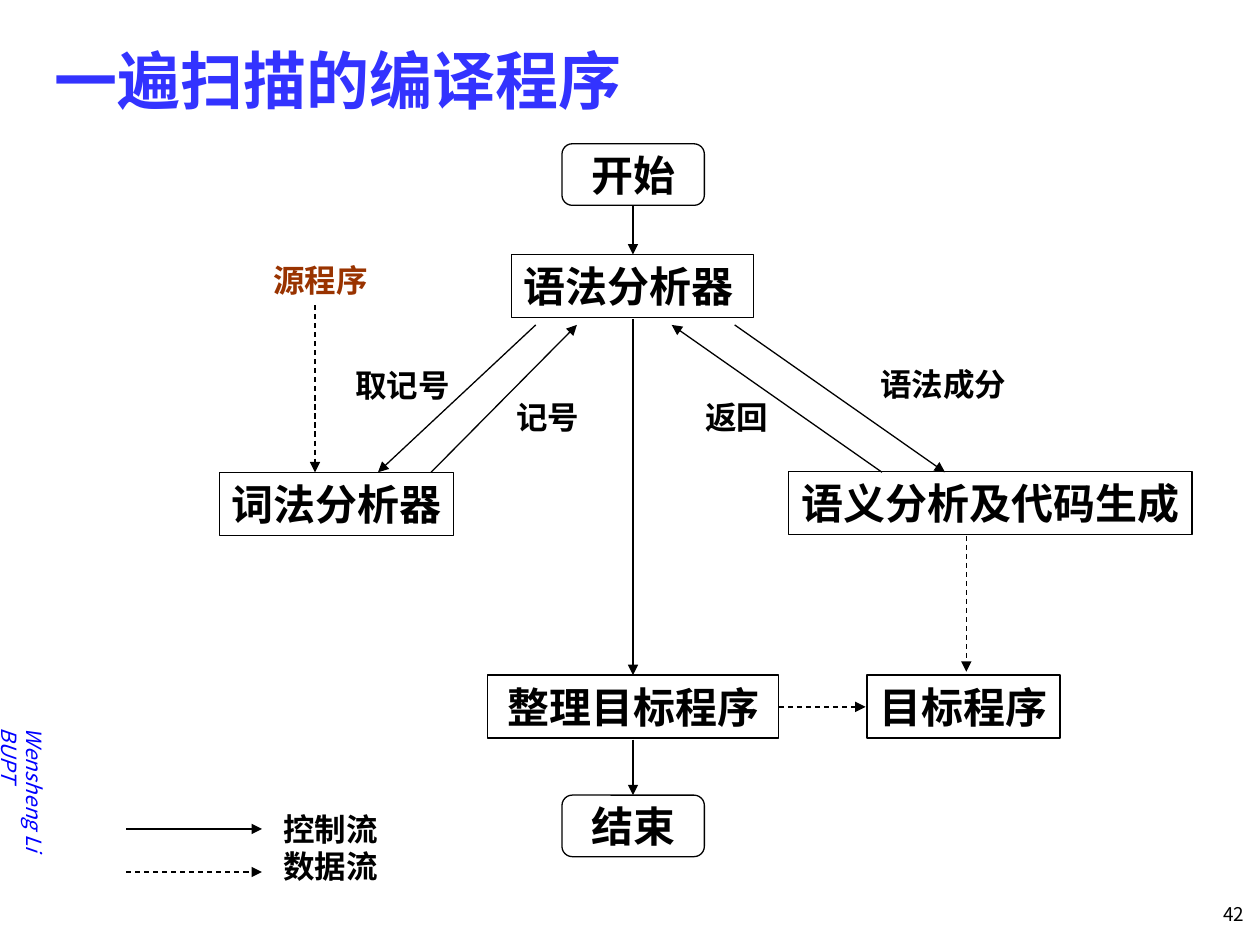
from dataclasses import dataclass

from lxml import etree
from pptx import Presentation
from pptx.dml.color import RGBColor
from pptx.enum.dml import MSO_LINE
from pptx.enum.shapes import MSO_CONNECTOR, MSO_SHAPE
from pptx.enum.text import MSO_ANCHOR, PP_ALIGN
from pptx.oxml.ns import qn
from pptx.util import Cm, Pt

LEFT, CENTER, RIGHT = PP_ALIGN.LEFT, PP_ALIGN.CENTER, PP_ALIGN.RIGHT
TOP, MIDDLE = MSO_ANCHOR.TOP, MSO_ANCHOR.MIDDLE
RECT, ROUND = MSO_SHAPE.RECTANGLE, MSO_SHAPE.FLOWCHART_ALTERNATE_PROCESS
STRAIGHT, DASH = MSO_CONNECTOR.STRAIGHT, MSO_LINE.DASH


@dataclass(frozen=True)
class Theme:
    ink: str = "000000"
    head: str = "3333FF"
    side: str = "0000FF"
    input: str = "993300"
    serif: str = "Times New Roman"
    sans: str = "Noto Sans CJK SC"
    title: float = 36
    node: float = 24
    label: float = 18
    name: float = 12
    page: float = 10.8
    line: float = 0.75


def write(frame, text, *, size, color, font, bold=True, slant=False,
          align=LEFT, anchor=MIDDLE, wrap=False, space=None, tab=None):
    frame.word_wrap = wrap
    frame.vertical_anchor = anchor
    frame.margin_left = frame.margin_right = Cm(0.25)
    frame.margin_top = frame.margin_bottom = Cm(0.13)
    for i, part in enumerate(text.split("\n")):
        para = frame.add_paragraph() if i else frame.paragraphs[0]
        para.alignment = align
        if space:
            para.line_spacing = space
        if tab:
            stops = etree.SubElement(para._p.get_or_add_pPr(), qn("a:tabLst"))
            etree.SubElement(stops, qn("a:tab"), pos=str(tab), algn="l")
        run = para.add_run()
        run.text = part
        run.font.name = font
        run.font.size = Pt(size)
        run.font.bold = bold
        run.font.italic = slant
        run.font.color.rgb = RGBColor.from_string(color)
        face = etree.SubElement(run._r.get_or_add_rPr(), qn("a:ea"))
        face.set("typeface", Theme.sans)


class Deck:
    def __init__(self, theme):
        self.theme = theme
        self.file = Presentation()
        self.file.slide_width, self.file.slide_height = Cm(25.4), Cm(19.05)
        self.slide = self.file.slides.add_slide(self.file.slide_layouts[5])
        self.shapes = self.slide.shapes

    def title(self, text, x, y, w, h):
        box = self.shapes.title
        box.left, box.top, box.width, box.height = map(Cm, (x, y, w, h))
        write(box.text_frame, text, size=self.theme.title,
              color=self.theme.head, font=self.theme.sans, wrap=True)

    def label(self, text, x, y, w, h=1.02, turn=0, **style):
        box = self.shapes.add_textbox(Cm(x), Cm(y), Cm(w), Cm(h))
        box.rotation = turn
        base = dict(size=self.theme.label, color=self.theme.ink,
                    font=self.theme.serif)
        write(box.text_frame, text, **(base | style))

    def node(self, text, x, y, w, h=1.27, kind=RECT, **style):
        box = self.shapes.add_shape(kind, Cm(x), Cm(y), Cm(w), Cm(h))
        box.shadow.inherit = False
        box.fill.background()
        self.stroke(box.line)
        write(box.text_frame, text, size=self.theme.node,
              color=self.theme.ink, font=self.theme.serif, **style)

    def stroke(self, line):
        line.color.rgb = RGBColor.from_string(self.theme.ink)
        line.width = Pt(self.theme.line)

    def arrow(self, x1, y1, x2, y2, dash=False):
        link = self.shapes.add_connector(
            STRAIGHT, Cm(x1), Cm(y1), Cm(x2), Cm(y2))
        self.stroke(link.line)
        if dash:
            link.line.dash_style = DASH
        etree.SubElement(link.line._get_or_add_ln(), qn("a:tailEnd"),
                         type="triangle")
        etree.SubElement(link._element.spPr, qn("a:effectLst"))


def main():
    theme = Theme()
    deck = Deck(theme)
    deck.title("一遍扫描的编译程序", 0.84, 0.43, 23.93, 2.34)
    deck.label("Wensheng Li\tBUPT", -1.82, 16.32, 4.55, 0.76, turn=90,
               size=theme.name, color=theme.side, font=theme.sans,
               bold=False, slant=True, wrap=True, tab=Cm(3.02))
    deck.label("42", 23.32, 18.16, 2.01, 0.76, size=theme.page,
               font=theme.sans, bold=False, align=RIGHT, anchor=TOP,
               wrap=True, space=0.8)

    for text, y in (("开始", 2.9), ("结束", 16.03)):
        deck.node(text, 11.33, y, 2.87, 1.24, kind=ROUND, align=CENTER)
    deck.node("语法分析器", 10.31, 5.13, 4.88, wrap=True)
    deck.node("词法分析器", 4.42, 9.52, 4.72)
    deck.node("语义分析及代码生成", 15.9, 9.5, 8.13)
    deck.node("整理目标程序", 9.83, 13.61, 5.87, align=CENTER, wrap=True)
    deck.node("目标程序", 17.48, 13.61, 3.89)

    deck.label("源程序", 5.26, 5.13, 2.41, color=theme.input)
    for text, x, y, w in (
        ("取记号", 6.91, 7.26, 2.41),
        ("记号", 10.16, 7.9, 1.78),
        ("返回", 13.97, 7.9, 1.78),
        ("语法成分", 17.5, 7.24, 3.05),
    ):
        deck.label(text, x, y, w)
    deck.label("控制流\n数据流", 5.46, 16.21, 2.41, 1.78, space=Pt(21))

    axis, upper, lower = 12.76, 6.55, 9.52
    for start, end in ((4.14, 5.13), (6.43, 13.61), (14.91, 16.03)):
        deck.arrow(axis, start, axis, end)
    for top, base in ((10.8, 7.62), (14.81, 19.05)):
        deck.arrow(top, upper, base, lower)
    for base, top in ((8.69, 11.63), (17.78, 13.54)):
        deck.arrow(base, lower, top, upper)
    for ends in (
        (6.35, 6.15, 6.35, lower),
        (19.48, 10.8, 19.48, 13.54),
        (15.7, 14.25, 17.45, 14.25),
    ):
        deck.arrow(*ends, dash=True)
    for y, dash in ((16.71, False), (17.58, True)):
        deck.arrow(2.54, y, 5.28, y, dash)

    deck.file.save("out.pptx")


if __name__ == "__main__":
    main()
